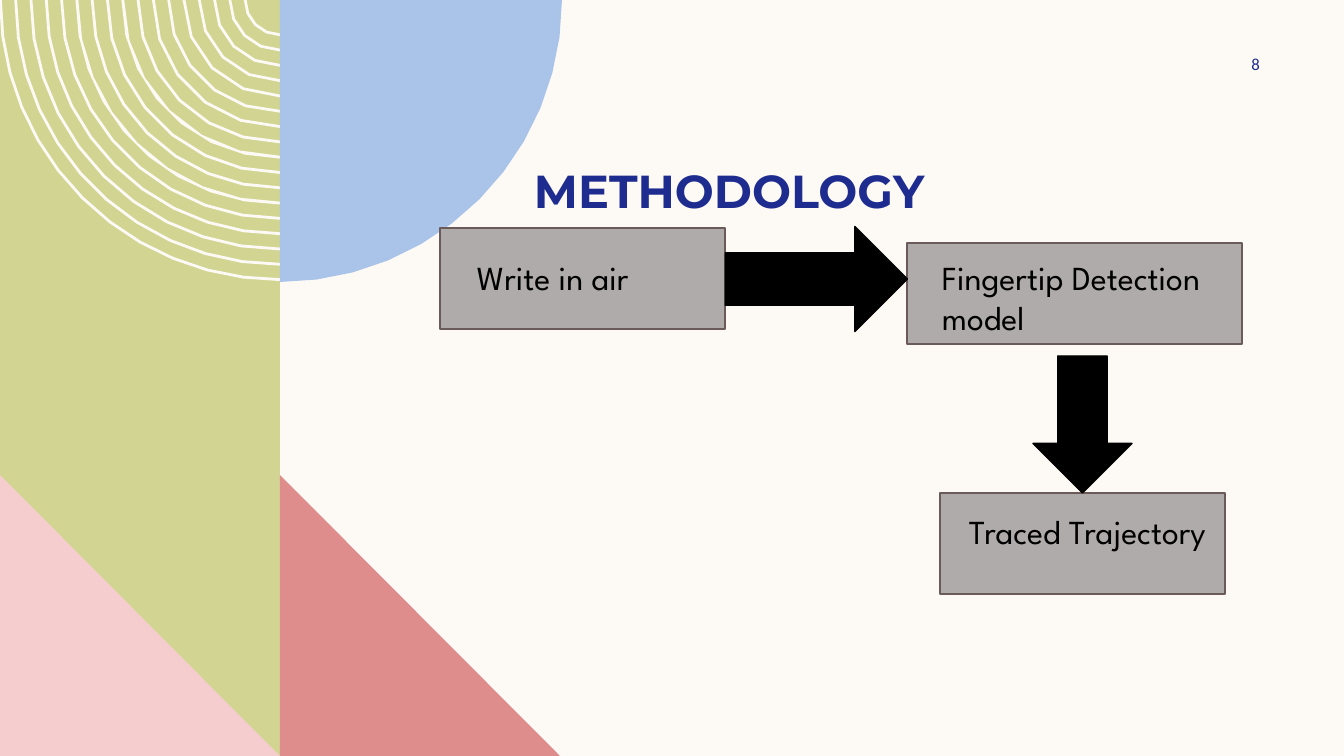
"""Build the Methodology slide: a three-step flow beside geometric artwork."""
from math import cos, pi, sin

from pptx import Presentation
from pptx.dml.color import RGBColor
from pptx.enum.shapes import MSO_SHAPE
from pptx.enum.text import MSO_ANCHOR, MSO_AUTO_SIZE, PP_ALIGN
from pptx.util import Emu, Pt

RECTANGLE, DOWN_ARROW = MSO_SHAPE.RECTANGLE, MSO_SHAPE.DOWN_ARROW
TOP, MIDDLE, BOTTOM = MSO_ANCHOR.TOP, MSO_ANCHOR.MIDDLE, MSO_ANCHOR.BOTTOM
LEFT, RIGHT = PP_ALIGN.LEFT, PP_ALIGN.RIGHT
NO_FIT, GROW = MSO_AUTO_SIZE.NONE, MSO_AUTO_SIZE.SHAPE_TO_FIT_TEXT

CREAM = RGBColor(0xFD, 0xFA, 0xF6)
OLIVE = RGBColor(0xD2, 0xD5, 0x92)
ROSE = RGBColor(0xDE, 0x8C, 0x8C)
PINK = RGBColor(0xF5, 0xCD, 0xCE)
SKY = RGBColor(0xAA, 0xC3, 0xE8)
NAVY = RGBColor(0x1F, 0x2C, 0x8F)
GRAY = RGBColor(0xAF, 0xAB, 0xAB)
BROWN = RGBColor(0x6B, 0x5A, 0x5A)
BLACK = RGBColor(0, 0, 0)

SLIDE_SIZE = (1344, 756)
PANEL = 280
RING_COUNT, RING_STEP, RING_WIDTH, RING_RADIUS = 17, 15.3, 2.8, 281
DISC_RADIUS = 282
TRIANGLE_TOP = 475

TITLE = ("METHODOLOGY", (534, -64, 770, 282))
PAGE_NUMBER = ("8", (1151, 50, 109, 27))
STEPS = [
    ("Write in air", (440, 228, 285, 101), (467, 252, 513, 50)),
    ("Fingertip Detection model", (907, 243, 335, 101), (932, 252, 309, 92)),
    ("Traced Trajectory", (940, 493, 285, 101), (959, 506, 266, 92)),
]
ARROWS = [((764, 188, 105, 182), 270), ((1033, 356, 99, 137), 0)]

TITLE_FORMAT = {"size": Pt(33), "name": "Montserrat", "bold": True}
NUMBER_FORMAT = {"size": Pt(12), "name": "Calibri"}
STEP_FORMAT = {"size": Pt(24), "name": "League Spartan"}
NO_MARGINS = {"margin_left": 0, "margin_top": 0, "margin_right": 0, "margin_bottom": 0}


def px(length):
    return Emu(round(length * 914400 / 100.8))


def set_all(target, values):
    for name, value in values.items():
        setattr(target, name, value)


def paint(shape, fill, line=None):
    shape.shadow.inherit = False
    shape.fill.solid()
    shape.fill.fore_color.rgb = fill
    if line is None:
        shape.line.fill.background()
    else:
        shape.line.color.rgb = line
        shape.line.width = Pt(1)


def arc(radius, start, end):
    parts = max(4, round(radius / 24))
    angles = [start + (end - start) * part / parts for part in range(parts + 1)]
    return [(PANEL + radius * cos(angle), radius * sin(angle)) for angle in angles]


def add_outline(slide, contours, fill):
    points = [[(px(x), px(y)) for x, y in contour] for contour in contours]
    builder = slide.shapes.build_freeform(*points[0][0])
    for index, contour in enumerate(points):
        if index:
            builder.move_to(*contour[0])
        builder.add_line_segments(contour[1:], close=True)
    paint(builder.convert_to_shape(), fill)


def add_block(slide, kind, box, fill, line):
    shape = slide.shapes.add_shape(kind, *map(px, box))
    paint(shape, fill, line)
    return shape


def write(shape, text, font_format, color, frame_format, alignment=LEFT):
    frame = shape.text_frame
    frame.text = text
    set_all(frame, {"word_wrap": True, **frame_format})
    paragraph = frame.paragraphs[0]
    paragraph.alignment = alignment
    font = paragraph.runs[0].font
    set_all(font, font_format)
    font.color.rgb = color


def add_text(slide, text, box, *style):
    write(slide.shapes.add_textbox(*map(px, box)), text, *style)


def add_artwork(slide):
    width, height = SLIDE_SIZE
    add_outline(slide, [[(0, 0), (PANEL, 0), (PANEL, height), (0, height)]], OLIVE)
    radii = [RING_RADIUS - RING_STEP * index for index in range(RING_COUNT)]
    rings = [arc(radius, pi, pi / 2) + arc(radius - RING_WIDTH, pi / 2, pi)
             for radius in radii]
    add_outline(slide, rings, CREAM)
    for left, color in ((PANEL, ROSE), (0, PINK)):
        triangle = [(left, TRIANGLE_TOP), (left + PANEL, height), (left, height)]
        add_outline(slide, [triangle], color)
    add_outline(slide, [[(PANEL, 0)] + arc(DISC_RADIUS, 0, pi / 2)], SKY)


def main():
    presentation = Presentation()
    presentation.slide_width, presentation.slide_height = map(px, SLIDE_SIZE)
    slide = presentation.slides.add_slide(presentation.slide_layouts[5])
    slide.background.fill.solid()
    slide.background.fill.fore_color.rgb = CREAM
    add_artwork(slide)

    text, box = TITLE
    title = slide.shapes.title
    set_all(title, dict(zip(("left", "top", "width", "height"), map(px, box))))
    write(title, text, TITLE_FORMAT, NAVY,
          {"vertical_anchor": BOTTOM, "auto_size": NO_FIT, **NO_MARGINS})
    add_text(slide, *PAGE_NUMBER, NUMBER_FORMAT, NAVY,
             {"vertical_anchor": MIDDLE, "margin_right": 0}, RIGHT)

    for text, block, label in STEPS:
        add_block(slide, RECTANGLE, block, GRAY, BROWN)
        add_text(slide, text, label, STEP_FORMAT, BLACK,
                 {"vertical_anchor": TOP, "auto_size": GROW})
    for box, rotation in ARROWS:
        add_block(slide, DOWN_ARROW, box, BLACK, BLACK).rotation = rotation

    presentation.save("out.pptx")


if __name__ == "__main__":
    main()
